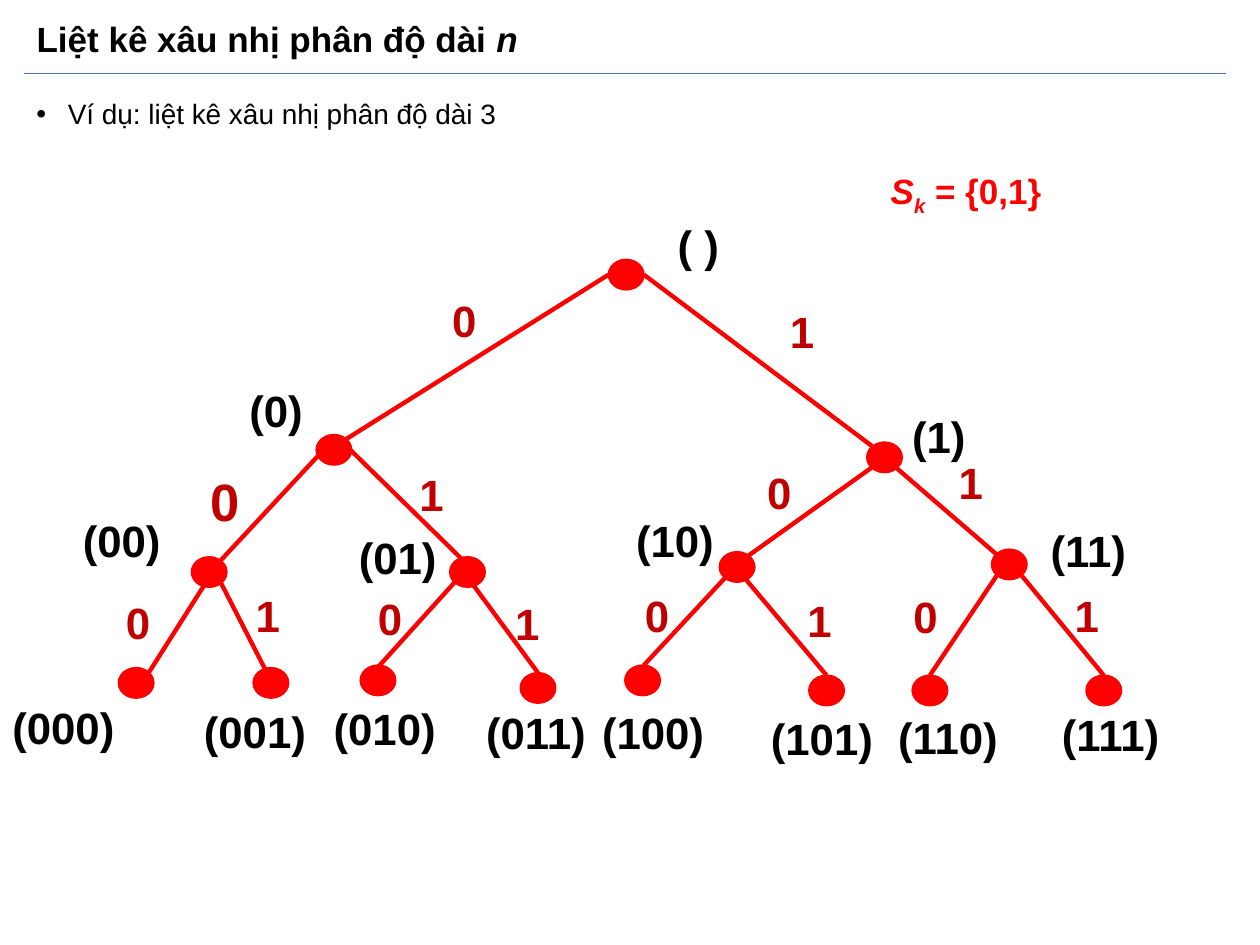
from typing import NamedTuple, Optional

from lxml.etree import SubElement
from pptx import Presentation
from pptx.dml.color import RGBColor
from pptx.enum.shapes import MSO_CONNECTOR as Link, MSO_SHAPE as Shape
from pptx.enum.text import MSO_ANCHOR as Anchor, MSO_AUTO_SIZE as Fit, PP_ALIGN as Align
from pptx.oxml.ns import qn
from pptx.util import Inches, Pt

RED, DARK, BLACK, BLUE = "FF0000", "C00000", "000000", "4472C4"
DOT_W, DOT_H = 0.28, 0.24
Point = tuple[float, float]


class Edge(NamedTuple):
    start: Point
    end: Point
    digit: Point
    size: int = 25


class Node(NamedTuple):
    code: str
    dot: Point
    label: Point
    width: float
    edge: Optional[Edge] = None


NODES = [
    Node(" ", (4.83, 2.06), (5.28, 1.69), 0.72),
    Node("0", (2.51, 3.45), (1.88, 3), 0.72, Edge((4.83, 2.18), (2.74, 3.49), (3.49, 2.28))),
    Node("1", (6.88, 3.51), (7.14, 3.2), 0.72, Edge((5.11, 2.18), (6.92, 3.54), (6.17, 2.37))),
    Node("00", (1.52, 4.42), (0.56, 4.03), 1.04, Edge((2.55, 3.59), (1.75, 4.45), (1.57, 3.67), 30)),
    Node("01", (3.57, 4.42), (2.75, 4.16), 0.94, Edge((2.78, 3.57), (3.8, 4.57), (3.23, 3.66))),
    Node("10", (5.71, 4.38), (4.95, 4.03), 0.83, Edge((6.92, 3.71), (5.94, 4.41), (5.99, 3.65))),
    Node("11", (7.87, 4.36), (8.24, 4.11), 0.86, Edge((7.11, 3.71), (7.91, 4.4), (7.51, 3.57))),
    Node("000", (0.94, 5.3), (0, 5.51), 1.19, Edge((1.63, 4.63), (1.18, 5.34), (0.9, 4.68))),
    Node("001", (2.01, 5.3), (1.52, 5.54), 1.19, Edge((1.73, 4.58), (2.17, 5.44), (1.93, 4.62))),
    Node("010", (2.86, 5.28), (2.55, 5.52), 1.19, Edge((3.61, 4.62), (2.96, 5.34), (2.9, 4.65))),
    Node("011", (4.13, 5.34), (3.76, 5.55), 1.19, Edge((3.68, 4.54), (4.27, 5.34), (3.99, 4.69))),
    Node("100", (4.96, 5.28), (4.68, 5.55), 1.19, Edge((5.76, 4.58), (5.11, 5.28), (5.02, 4.62))),
    Node("101", (6.42, 5.36), (6.02, 5.6), 1.19, Edge((5.82, 4.48), (6.56, 5.36), (6.31, 4.66))),
    Node("110", (7.24, 5.36), (7.03, 5.59), 1.19, Edge((7.91, 4.57), (7.38, 5.36), (7.15, 4.63))),
    Node("111", (8.62, 5.36), (8.33, 5.57), 1.19, Edge((8.11, 4.57), (8.76, 5.36), (8.43, 4.62))),
]


def color(code: str) -> RGBColor:
    return RGBColor.from_string(code)


def write(para, text: str, *, size: int, tone: str = BLACK, bold: bool = True,
          italic: bool = False, base: int = 0) -> None:
    run = para.add_run()
    run.text = text
    font = run.font
    font.name, font.size = "Arial", Pt(size)
    font.bold, font.italic = bold, italic
    font.color.rgb = color(tone)
    if base:
        run._r.get_or_add_rPr().set("baseline", str(base * 1000))


def add_box(slide, at: Point, width: float, height: float, wrap: bool = True, grow: bool = True):
    box = slide.shapes.add_textbox(*map(Inches, (*at, width, height)))
    frame = box.text_frame
    frame.word_wrap = wrap
    frame.auto_size = Fit.SHAPE_TO_FIT_TEXT if grow else Fit.NONE
    return frame.paragraphs[0]


def add_line(slide, start: Point, end: Point, tone: str, width: float) -> None:
    line = slide.shapes.add_connector(Link.STRAIGHT, *map(Inches, (*start, *end)))
    line.line.color.rgb = color(tone)
    line.line.width = Pt(width)
    SubElement(line._element.spPr, qn("a:effectLst"))


def add_dot(slide, at: Point) -> None:
    dot = slide.shapes.add_shape(Shape.OVAL, *map(Inches, (*at, DOT_W, DOT_H)))
    dot.shadow.inherit = False
    dot.fill.solid()
    dot.fill.fore_color.rgb = color(RED)
    dot.line.color.rgb = color(RED)
    dot.line.width = Pt(1)


def add_title(slide) -> None:
    title = slide.shapes.title
    title.left, title.top, title.width, title.height = map(Inches, (0.19, 0.08, 8.62, 0.5))
    frame = title.text_frame
    frame.vertical_anchor = Anchor.MIDDLE
    frame.auto_size = Fit.NONE
    para = frame.paragraphs[0]
    para.alignment = Align.LEFT
    para.line_spacing = 0.9
    write(para, "Liệt kê xâu nhị phân độ dài ", size=20)
    write(para, "n", size=20, italic=True)
    add_line(slide, (0.19, 0.58), (9.73, 0.58), BLUE, 0.5)


def add_body(slide) -> None:
    para = add_box(slide, (0.19, 0.75), 9.54, 6.01, grow=False)
    para.line_spacing = 0.9
    para.space_before = Pt(10)
    props = para._p.get_or_add_pPr()
    props.set("marL", str(Inches(0.25)))
    props.set("indent", str(-Inches(0.25)))
    SubElement(props, qn("a:buFont"), typeface="Arial")
    SubElement(props, qn("a:buChar"), char="•")
    write(para, "Ví dụ: liệt kê xâu nhị phân độ dài 3", size=16, bold=False)


def add_tree(slide, nodes: list[Node]) -> None:
    edges = [(node.code[-1], node.edge) for node in nodes if node.edge]
    for _, edge in edges:
        add_line(slide, edge.start, edge.end, RED, 2.5)
    for node in nodes:
        add_dot(slide, node.dot)
        write(add_box(slide, node.label, node.width, 0.52), f"({node.code})", size=25)
    for digit, edge in edges:
        height = 0.61 if edge.size == 30 else 0.52
        write(add_box(slide, edge.digit, 0.72, height), digit, size=edge.size, tone=DARK)


def add_set(slide) -> None:
    para = add_box(slide, (6.97, 1.3), 1.49, 0.44, wrap=False)
    write(para, "S", size=20, tone=RED, italic=True)
    write(para, "k", size=20, tone=RED, italic=True, base=-25)
    write(para, " = {0,1}", size=20, tone=RED)


def main() -> None:
    deck = Presentation()
    deck.slide_width, deck.slide_height = Inches(10), Inches(7.5)
    slide = deck.slides.add_slide(deck.slide_layouts[5])
    add_title(slide)
    add_body(slide)
    add_tree(slide, NODES)
    add_set(slide)
    deck.save("out.pptx")


if __name__ == "__main__":
    main()
